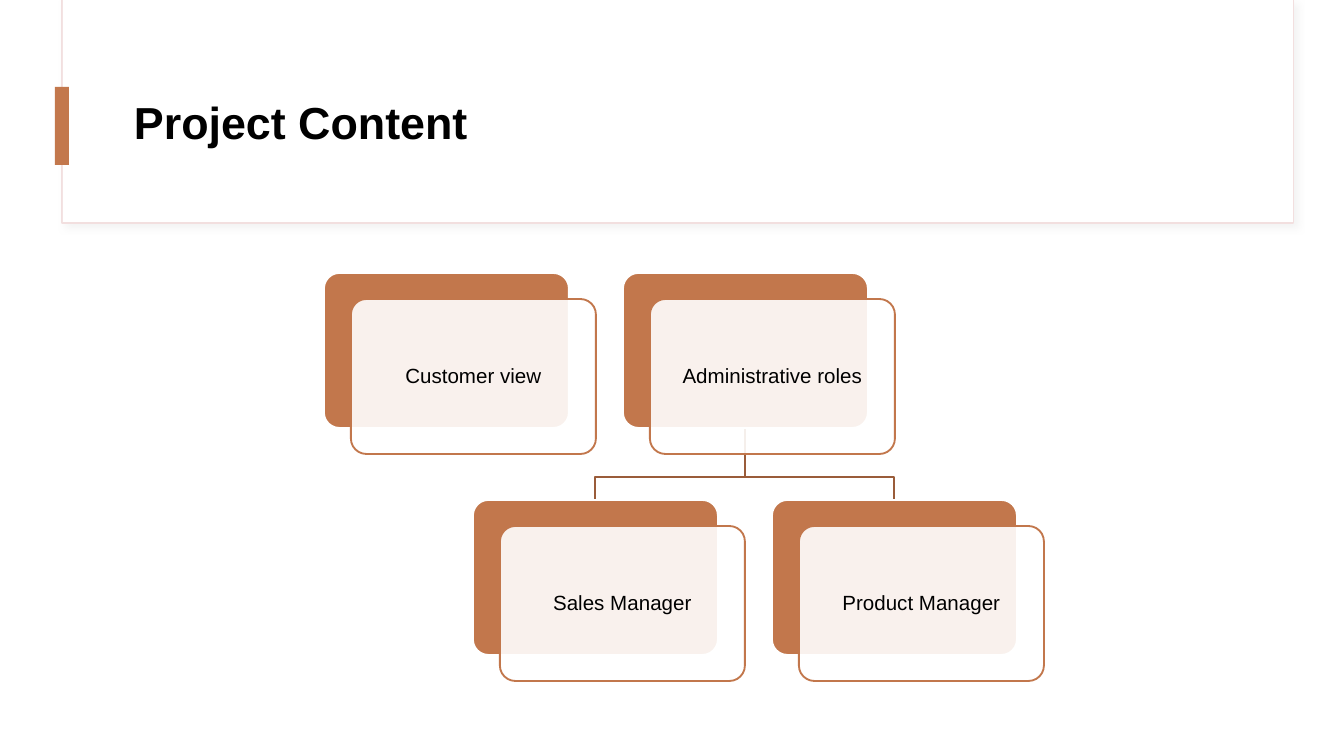
import lxml.etree
import pptx
import pptx.dml.color
import pptx.enum.shapes
import pptx.enum.text
import pptx.oxml.ns
import pptx.util

EMU_PER_PX = 914400 / 134.4
FONT = "Arial"
COLOURS = {
    "white": "FFFFFF",
    "text": "000000",
    "header line": "F2DFDF",
    "header shadow": "D8D8D8",
    "accent": "C3784D",
    "card": "C2774C",
    "branch": "9A5C3A",
}

# Org chart measures in px; neighbouring columns are half a card pitch apart
CHART_LEFT, CHART_TOP = 324, 273
CARD_WIDTH, CARD_HEIGHT = 245, 155
CARD_PITCH, ROW_PITCH = 299, 227
FRONT_SHIFT_X, FRONT_SHIFT_Y = 27, 26
ROLES = [
    ("Customer view", 0, 0),
    ("Administrative roles", 2, 0),
    ("Sales Manager", 1, 1),
    ("Product Manager", 3, 1),
]
PARENT = (2, 0)
CHILDREN = [(3, 1), (1, 1)]


def px(length):
    return pptx.util.Emu(round(length * EMU_PER_PX))


def rgb(name):
    return pptx.dml.color.RGBColor.from_string(COLOURS[name])


def add_box(slide, kind, box, fill, line=None, line_width=1):
    shape = slide.shapes.add_shape(kind, *map(px, box))
    shape.shadow.inherit = False
    shape.fill.solid()
    shape.fill.fore_color.rgb = rgb(fill)
    if line:
        shape.line.color.rgb = rgb(line)
        shape.line.width = pptx.util.Pt(line_width)
    else:
        shape.line.fill.background()
    return shape


def add_xml_child(parent, tag, **attributes):
    child = lxml.etree.SubElement(parent, pptx.oxml.ns.qn(tag))
    for key, value in attributes.items():
        child.set(key, str(value))
    return child


def set_text(shape, text, size, align, inset_x, inset_y, bold=False):
    frame = shape.text_frame
    frame.text = text
    frame.word_wrap = True
    frame.auto_size = pptx.enum.text.MSO_AUTO_SIZE.NONE
    frame.vertical_anchor = pptx.enum.text.MSO_ANCHOR.MIDDLE
    frame.margin_left = frame.margin_right = px(inset_x)
    frame.margin_top = frame.margin_bottom = px(inset_y)
    paragraph = frame.paragraphs[0]
    paragraph.alignment = align
    paragraph.line_spacing = 0.9
    font = paragraph.runs[0].font
    font.name = FONT
    font.size = pptx.util.Pt(size)
    font.bold = bold
    font.color.rgb = rgb("text")


def add_header(slide):
    rectangle = pptx.enum.shapes.MSO_SHAPE.RECTANGLE
    panel = add_box(slide, rectangle, (62, 0, 1231, 223), "white", "header line", 0.75)
    effects = panel._element.spPr.find(pptx.oxml.ns.qn("a:effectLst"))
    shadow = add_xml_child(effects, "a:outerShdw", blurRad=pptx.util.Pt(4),
                           dist=pptx.util.Pt(3), dir=45 * 60000, algn="tl", rotWithShape=0)
    shade = add_xml_child(shadow, "a:srgbClr", val=COLOURS["header shadow"])
    add_xml_child(shade, "a:alpha", val=30000)
    add_box(slide, rectangle, (63, 0, 1230, 222), "white")
    add_box(slide, rectangle, (55, 87, 14, 78), "accent")


def add_title(slide, text):
    title = slide.shapes.title
    title.left, title.top, title.width, title.height = map(px, (124, 60, 1121, 130))
    set_text(title, text, 24, pptx.enum.text.PP_ALIGN.LEFT, 10, 5, bold=True)
    # Bring the title in front of the header panel
    slide.shapes._spTree.append(title._element)


def card_origin(column, row):
    return CHART_LEFT + column * CARD_PITCH // 2, CHART_TOP + row * ROW_PITCH


def add_branch(slide, parent, child):
    parent_left, parent_top = card_origin(*parent)
    child_left, child_top = card_origin(*child)
    start_x, end_x = parent_left + CARD_WIDTH // 2, child_left + CARD_WIDTH // 2
    start_y, bend_y = parent_top + CARD_HEIGHT, child_top - 23
    builder = slide.shapes.build_freeform(start_x, start_y, scale=EMU_PER_PX)
    builder.add_line_segments(
        [(start_x, bend_y), (end_x, bend_y), (end_x, child_top)], close=False)
    branch = builder.convert_to_shape()
    branch.shadow.inherit = False
    branch.fill.background()
    branch.line.color.rgb = rgb("branch")
    branch.line.width = pptx.util.Pt(1)


def add_role(slide, role, column, row):
    left, top = card_origin(column, row)
    rounded = pptx.enum.shapes.MSO_SHAPE.ROUNDED_RECTANGLE
    size = (CARD_WIDTH, CARD_HEIGHT)
    back = add_box(slide, rounded, (left, top, *size), "card", "white")
    front = add_box(slide, rounded, (left + FRONT_SHIFT_X, top + FRONT_SHIFT_Y, *size),
                    "white", "card")
    for card in (back, front):
        card.adjustments[0] = 0.1
    # The front card lets a tenth of the back card through
    fill_colour = front._element.spPr.find(
        pptx.oxml.ns.qn("a:solidFill")).find(pptx.oxml.ns.qn("a:srgbClr"))
    add_xml_child(fill_colour, "a:alpha", val=90000)
    set_text(front, role, 11, pptx.enum.text.PP_ALIGN.CENTER, 10, 10)


def main():
    presentation = pptx.Presentation()
    presentation.slide_width, presentation.slide_height = px(1344), px(756)
    slide = presentation.slides.add_slide(presentation.slide_layouts[5])

    # Header
    add_header(slide)
    add_title(slide, "Project Content")

    # Org chart: branches behind, cards in front
    for child in CHILDREN:
        add_branch(slide, PARENT, child)
    for role, column, row in ROLES:
        add_role(slide, role, column, row)

    presentation.save("out.pptx")


if __name__ == "__main__":
    main()
